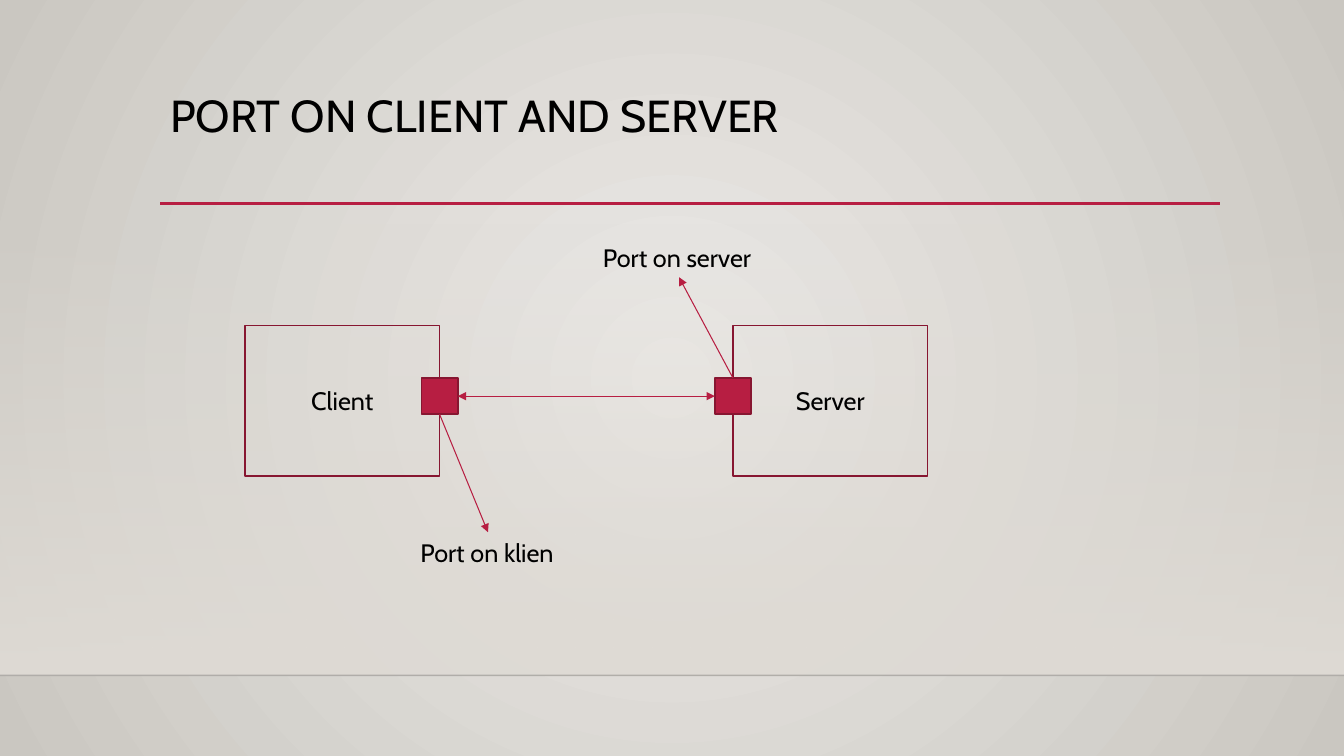
from pptx import Presentation
from pptx.dml.color import RGBColor
from pptx.enum.shapes import MSO_CONNECTOR as Link, MSO_SHAPE as Shape
from pptx.enum.text import MSO_ANCHOR as Anchor, MSO_AUTO_SIZE as Fit, PP_ALIGN as Align
from pptx.oxml.ns import qn
from pptx.util import Inches, Pt
from lxml import etree

RED, WINE, SAND = "B71E42", "871631", "DFDBD5"
WIDE, FLOOR = 13.33, 6.7


def color(text):
    return RGBColor.from_string(text)


def fade(node, percent):
    """Make the first colour under node percent opaque."""
    rgb = next(node.iter(qn("a:srgbClr")))
    etree.SubElement(rgb, qn("a:alpha")).set("val", str(percent * 1000))


def blend(fill, start, end):
    """Fill with a top-to-bottom gradient."""
    fill.gradient()
    fill.gradient_angle = 270
    for stop, shade in zip(fill.gradient_stops, (start, end)):
        stop.color.rgb = color(shade)


class Board:
    font, ink = "Cabin", "000000"

    def __init__(self, slide):
        self.slide = slide
        self.shapes = slide.shapes

    def back(self, inner, outer):
        """Paint the background as a circle of light from the middle."""
        blend(self.slide.background.fill, inner, outer)
        grad = next(self.slide.element.iter(qn("a:gradFill")))
        grad.remove(grad.find(qn("a:lin")))
        ring = etree.SubElement(grad, qn("a:path"), path="circle")
        etree.SubElement(ring, qn("a:fillToRect"),
                         {side: "50000" for side in "ltrb"})

    def letter(self, shape, text, size, align=Align.LEFT):
        """Put styled text in the shape and return its frame."""
        frame = shape.text_frame
        frame.text = text
        line = frame.paragraphs[0]
        line.alignment = align
        font = line.runs[0].font
        font.name, font.size = self.font, Pt(size)
        font.color.rgb = color(self.ink)
        return frame

    def rect(self, x, y, w, h):
        shape = self.shapes.add_shape(
            Shape.RECTANGLE, Inches(x), Inches(y), Inches(w), Inches(h))
        shape.shadow.inherit = False
        return shape

    def wall(self, height):
        """Lay a band that fades in down to the floor."""
        band = self.rect(0, FLOOR - height, WIDE, height)
        blend(band.fill, SAND, SAND)
        fade(band.element, 0)
        band.line.fill.background()

    def box(self, x, y, w, h, text="", fill=None):
        shape = self.rect(x, y, w, h)
        if fill:
            shape.fill.solid()
            shape.fill.fore_color.rgb = color(fill)
        else:
            shape.fill.background()
        shape.line.color.rgb = color(WINE)
        shape.line.width = Pt(1.25)
        if text:
            frame = self.letter(shape, text, 18, Align.CENTER)
            frame.vertical_anchor = Anchor.MIDDLE
        return shape

    def label(self, x, y, w, h, text):
        shape = self.shapes.add_textbox(Inches(x), Inches(y), Inches(w), Inches(h))
        frame = self.letter(shape, text, 18)
        frame.word_wrap = False
        frame.auto_size = Fit.SHAPE_TO_FIT_TEXT
        return shape

    def title(self, x, y, w, h, text):
        shape = self.shapes.add_textbox(Inches(x), Inches(y), Inches(w), Inches(h))
        frame = self.letter(shape, text, 32)
        frame.word_wrap = True
        frame.paragraphs[0].line_spacing = 0.9

    def stroke(self, kind, points, shade, width):
        line = self.shapes.add_connector(kind, *map(Inches, points))
        line.line.color.rgb = color(shade)
        line.line.width = Pt(width)
        etree.SubElement(line.element.spPr, qn("a:effectLst"))
        return line

    def rule(self, x, y, end, shade, width):
        return self.stroke(Link.STRAIGHT, (x, y, end, y), shade, width)

    def arrow(self, start, out, end, into, kind=Link.STRAIGHT, both=False):
        """Join side out of start to side into of end."""
        line = self.stroke(kind, (0, 0, 0, 0), RED, 0.75)
        line.begin_connect(start, out)
        line.end_connect(end, into)
        pen = line.element.spPr.find(qn("a:ln"))
        for tip in ("headEnd", "tailEnd") if both else ("tailEnd",):
            etree.SubElement(pen, qn("a:" + tip), type="triangle")


def main():
    deck = Presentation()
    deck.slide_width, deck.slide_height = Inches(WIDE), Inches(7.5)
    board = Board(deck.slides.add_slide(deck.slide_layouts[6]))

    board.back("ECEAE7", "CAC7C1")
    board.wall(4.49)
    fade(board.rule(0, FLOOR, WIDE, "000001", 1).element, 20)
    board.rule(1.59, 2.02, 12.1, RED, 2.5)
    board.title(1.59, 0.88, 10.5, 1.15, "PORT ON CLIENT AND SERVER")

    width, port = 1.93, 0.36
    left, right = 2.43, 7.27
    for x, name in ((left, "Client"), (right, "Server")):
        board.box(x, 3.23, width, 1.49, name)
    client, server = [board.box(edge - port / 2, 3.75, port, port, fill=RED)
                      for edge in (left + width, right)]

    board.arrow(client, 3, server, 1, Link.ELBOW, both=True)
    below = board.label(4.07, 5.28, 1.54, 0.4, "Port on klien")
    above = board.label(5.88, 2.35, 1.71, 0.4, "Port on server")
    board.arrow(client, 2, below, 0)
    board.arrow(server, 0, above, 2)

    deck.save("out.pptx")


if __name__ == "__main__":
    main()
